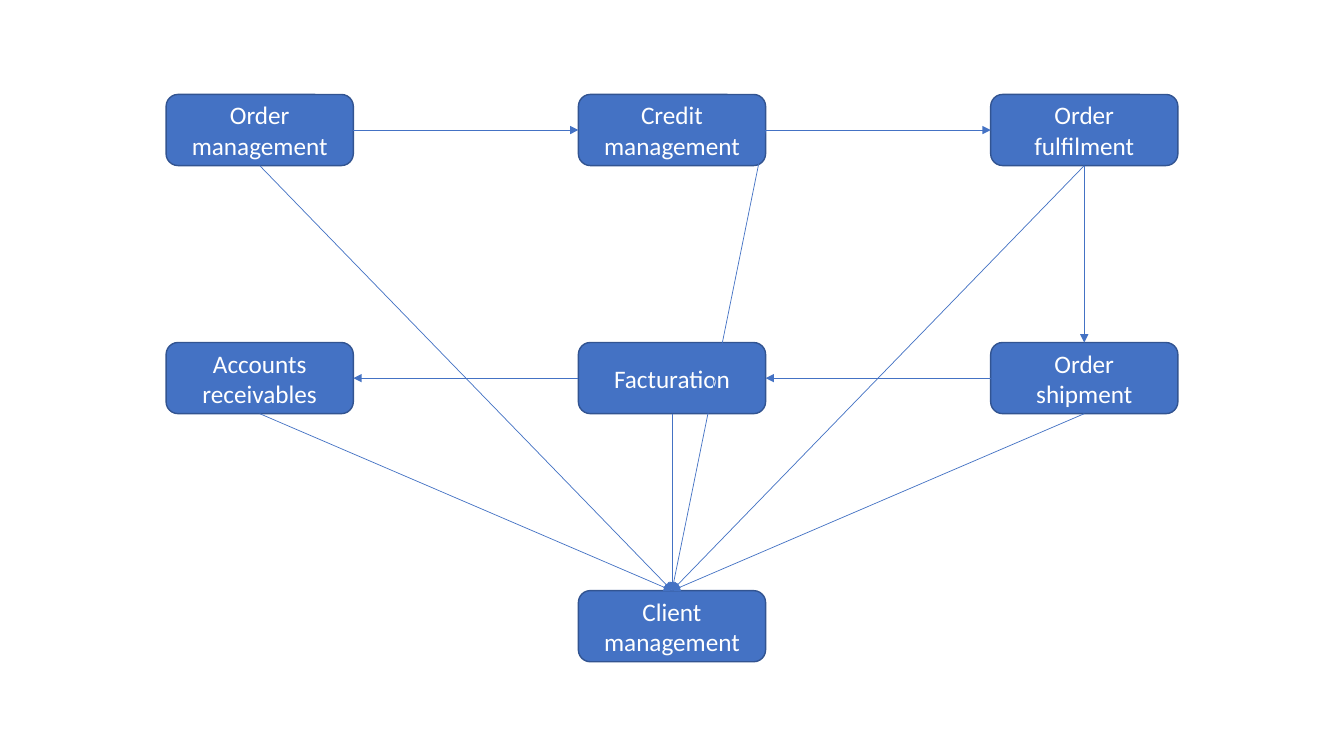
from lxml.etree import SubElement
from pptx import Presentation
from pptx.dml.color import RGBColor
from pptx.enum.shapes import MSO_CONNECTOR as Line, MSO_SHAPE as Shape
from pptx.enum.text import MSO_ANCHOR as Anchor, PP_ALIGN as Align
from pptx.oxml.ns import qn
from pptx.util import Pt

BLUE = RGBColor(0x44, 0x72, 0xC4)
DARK_BLUE = RGBColor(0x32, 0x54, 0x91)
WHITE = RGBColor(0xFF, 0xFF, 0xFF)

TOP, LEFT, BOTTOM, RIGHT = range(4)

SLIDE_WIDTH, SLIDE_HEIGHT = 960, 540
STEP_WIDTH, STEP_HEIGHT = 133.7, 50.8
COLUMN_PITCH, ROW_PITCH = 294.5, 177.2
FIRST_LEFT = (SLIDE_WIDTH - STEP_WIDTH) / 2 - COLUMN_PITCH
FIRST_TOP = 67.5

STEPS = {
    "Order management": (0, 0),
    "Client management": (1, 2),
    "Credit management": (1, 0),
    "Accounts receivables": (0, 1),
    "Facturation": (1, 1),
    "Order shipment": (2, 1),
    "Order fulfilment": (2, 0),
}

FLOWS = [
    ("Order management", RIGHT, "Credit management", LEFT),
    ("Credit management", RIGHT, "Order fulfilment", LEFT),
    ("Order fulfilment", BOTTOM, "Order shipment", TOP),
    ("Order shipment", LEFT, "Facturation", RIGHT),
    ("Facturation", LEFT, "Accounts receivables", RIGHT),
]

CLIENT_CONTACTS = [
    ("Order management", BOTTOM),
    ("Credit management", RIGHT),
    ("Order fulfilment", BOTTOM),
    ("Order shipment", BOTTOM),
    ("Facturation", BOTTOM),
    ("Accounts receivables", BOTTOM),
]


class ProcessMap:
    font_name = "Calibri"
    font_size = Pt(18)
    border_width = Pt(1)
    arrow_width = Pt(0.5)

    def __init__(self, slide):
        self.shapes = slide.shapes

    def step(self, label, column, row):
        step = self.shapes.add_shape(
            Shape.ROUNDED_RECTANGLE,
            Pt(FIRST_LEFT + column * COLUMN_PITCH),
            Pt(FIRST_TOP + row * ROW_PITCH),
            Pt(STEP_WIDTH),
            Pt(STEP_HEIGHT),
        )
        step.shadow.inherit = False
        step.fill.solid()
        step.fill.fore_color.rgb = BLUE
        step.line.color.rgb = DARK_BLUE
        step.line.width = self.border_width
        frame = step.text_frame
        frame.text = label
        frame.word_wrap = True
        frame.vertical_anchor = Anchor.MIDDLE
        paragraph = frame.paragraphs[0]
        paragraph.alignment = Align.CENTER
        font = paragraph.runs[0].font
        font.name = self.font_name
        font.size = self.font_size
        font.color.rgb = WHITE
        return step

    def arrow(self, source, source_side, target, target_side):
        arrow = self.shapes.add_connector(Line.STRAIGHT, 0, 0, 0, 0)
        arrow.begin_connect(source, source_side)
        arrow.end_connect(target, target_side)
        arrow.line.color.rgb = BLUE
        arrow.line.width = self.arrow_width
        properties = arrow._element.spPr
        SubElement(properties.find(qn("a:ln")), qn("a:tailEnd"), type="triangle")
        SubElement(properties, qn("a:effectLst"))


def main():
    deck = Presentation()
    deck.slide_width, deck.slide_height = Pt(SLIDE_WIDTH), Pt(SLIDE_HEIGHT)
    process = ProcessMap(deck.slides.add_slide(deck.slide_layouts[6]))

    steps = {label: process.step(label, *cell) for label, cell in STEPS.items()}
    for source, source_side, target, target_side in FLOWS:
        process.arrow(steps[source], source_side, steps[target], target_side)
    for source, side in CLIENT_CONTACTS:
        process.arrow(steps[source], side, steps["Client management"], TOP)

    deck.save("out.pptx")


if __name__ == "__main__":
    main()
